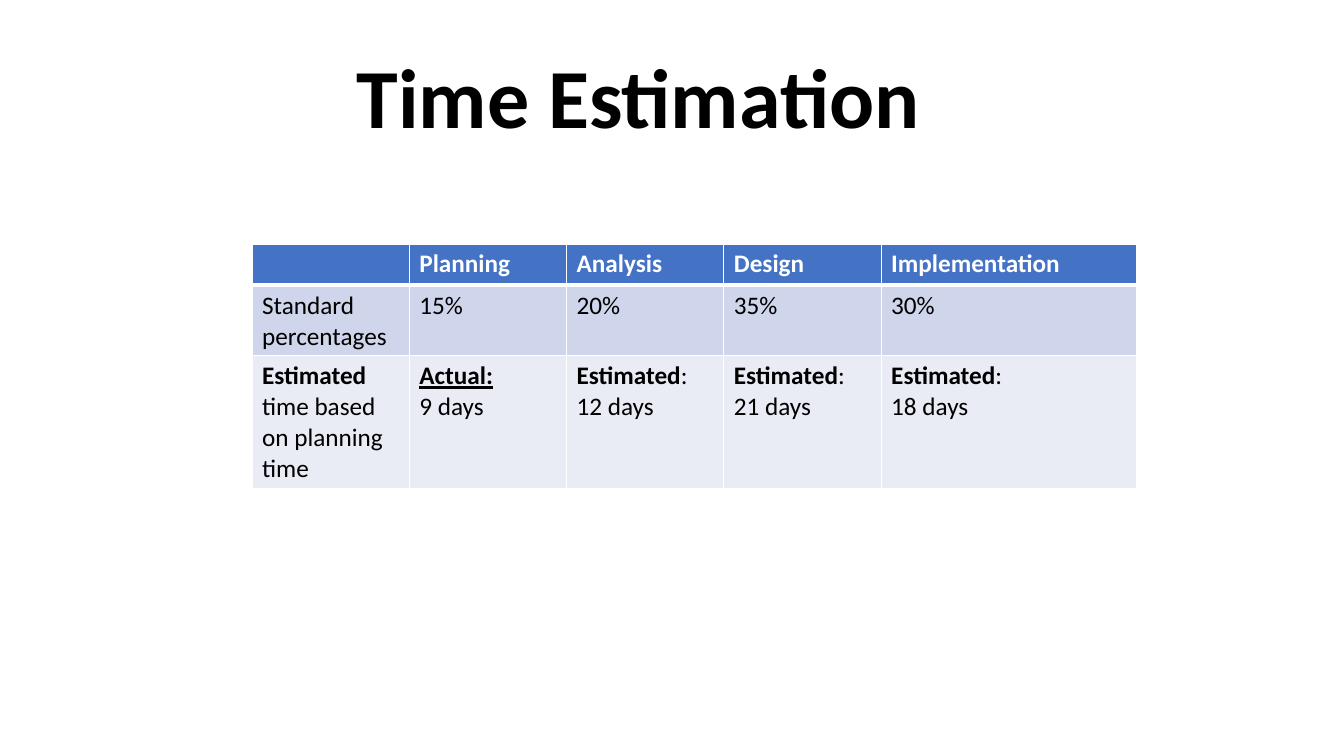
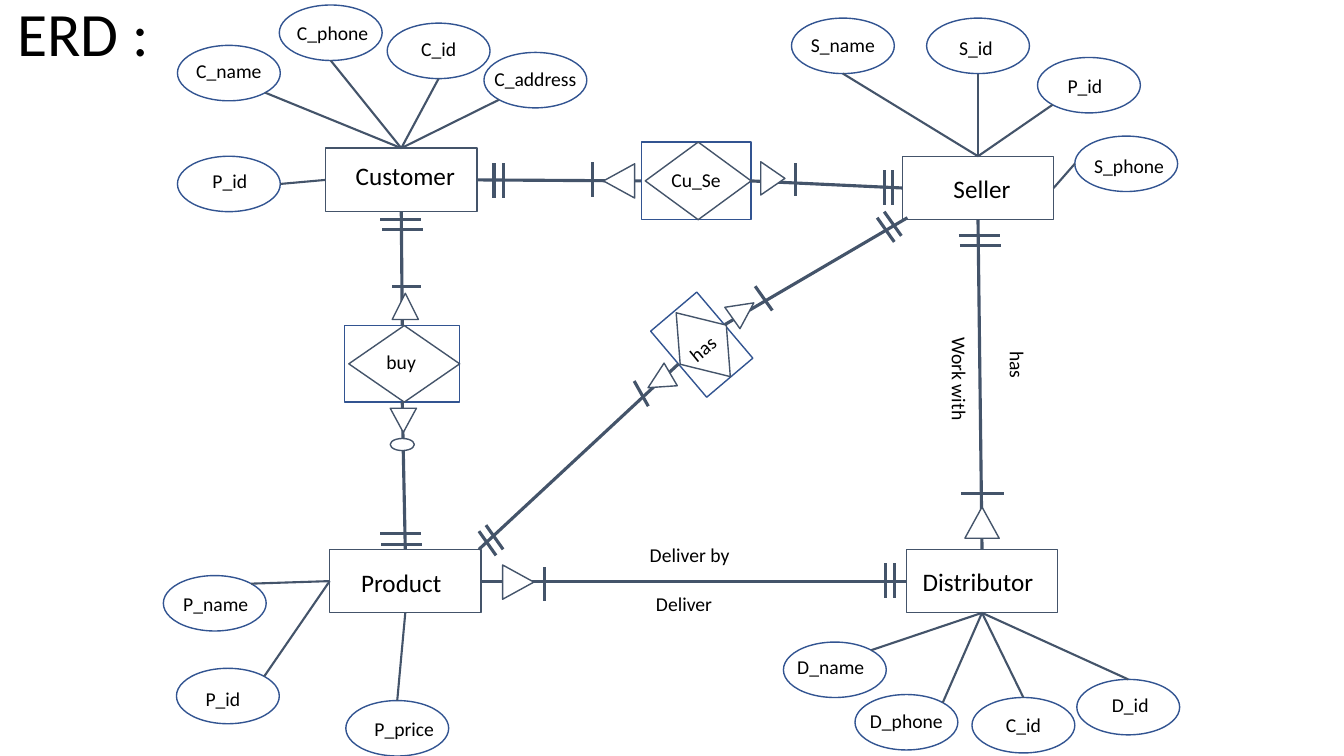
from math import cos, radians, sin

from lxml.etree import SubElement
from pptx import Presentation
from pptx.dml.color import RGBColor
from pptx.enum.shapes import MSO_CONNECTOR, MSO_SHAPE
from pptx.enum.text import MSO_ANCHOR, PP_ALIGN
from pptx.oxml.ns import qn
from pptx.util import Emu, Pt

EMU_PER_PX = 9144
COLORS = {
    "text": "000000",
    "white": "FFFFFF",
    "line": "44546A",
    "outline": "325491",
    "header": "4472C4",
    "band_dark": "CFD5EA",
    "band_light": "E9EBF5",
}
TOP, LEFT, BOTTOM, RIGHT = range(4)
ANGLES = {"e": 0, "se": 45, "s": 90, "sw": 135, "w": 180, "n": 270, "ne": 315}


def px(value):
    return Emu(round(value * EMU_PER_PX))


def color(name):
    return RGBColor.from_string(COLORS[name])


class Deck:
    font = "Calibri"

    def __init__(self, width, height):
        self.prs = Presentation()
        self.prs.slide_width, self.prs.slide_height = px(width), px(height)
        self.slide = None

    def new_slide(self):
        self.slide = self.prs.slides.add_slide(self.prs.slide_layouts[6])

    def style(self, r, size, bold=False, name="text"):
        r.font.name, r.font.size, r.font.bold = self.font, Pt(size), bold
        r.font.color.rgb = color(name)

    def set_text(self, tf, text, size, bold=False):
        tf.text = text
        tf.word_wrap = False
        for p in tf.paragraphs:
            p.alignment = PP_ALIGN.CENTER
            for r in p.runs:
                self.style(r, size, bold)

    def label(self, text, x, y, w, h, size=14, bold=False, rotation=0):
        sp = self.slide.shapes.add_textbox(px(x), px(y), px(w), px(h))
        sp.rotation = rotation
        self.set_text(sp.text_frame, text, size, bold)
        return sp

    def shape(self, kind, x, y, w, h, line="line", rotation=0):
        sp = self.slide.shapes.add_shape(kind, px(x), px(y), px(w), px(h))
        sp.shadow.inherit = False
        sp.fill.solid()
        sp.fill.fore_color.rgb = color("white")
        sp.line.color.rgb = color(line)
        sp.line.width = Pt(1)
        sp.rotation = rotation
        return sp

    def caption(self, sp, text, size, dx=0, dy=0):
        tf = sp.text_frame
        self.set_text(tf, text, size)
        tf.vertical_anchor = MSO_ANCHOR.MIDDLE
        tf.margin_left, tf.margin_right = px(max(2 * dx, 0)), px(max(-2 * dx, 0))
        tf.margin_top, tf.margin_bottom = px(max(2 * dy, 0)), px(max(-2 * dy, 0))

    def entity(self, text, x, y, dx, dy):
        sp = self.shape(MSO_SHAPE.RECTANGLE, x, y, 150, 63)
        self.caption(sp, text, 18, dx, dy)
        return sp

    def attribute(self, entity, side, text, x, y, anchor, dx, dy):
        w, h = 102, 55
        sp = self.shape(MSO_SHAPE.OVAL, x, y, w, h, "outline")
        self.caption(sp, text, 14, dx, dy)
        angle = radians(ANGLES[anchor])
        end_x = x + w / 2 * (1 + cos(angle))
        end_y = y + h / 2 * (1 + sin(angle))
        self.line(0, 0, end_x, end_y, 1.5).begin_connect(entity, side)

    def relationship(self, x, y, w, h, inset, rotation=0):
        box = self.shape(MSO_SHAPE.RECTANGLE, x, y, w, h, "outline", rotation)
        diamond = self.shape(MSO_SHAPE.DIAMOND, x + inset, y, w - inset, h,
                             rotation=rotation)
        return box, diamond

    def line(self, x1, y1, x2, y2, width=2.25):
        cx = self.slide.shapes.add_connector(
            MSO_CONNECTOR.STRAIGHT, px(x1), px(y1), px(x2), px(y2))
        cx.line.color.rgb = color("line")
        cx.line.width = Pt(width)
        SubElement(cx.element.spPr, qn("a:effectLst"))
        return cx

    def link(self, start, start_side, end, end_side):
        cx = self.line(0, 0, 1, 1)
        cx.begin_connect(start, start_side)
        cx.end_connect(end, end_side)

    def double_tick(self, x1, y1, x2, y2, dx, dy):
        self.line(x1, y1, x2, y2)
        self.line(x1 + dx, y1 + dy, x2 + dx, y2 + dy)

    def borders(self, cell, bottom):
        tcPr = cell._tc.get_or_add_tcPr()
        for tag, width in (("lnL", 1), ("lnR", 1), ("lnT", 1), ("lnB", bottom)):
            ln = SubElement(tcPr, qn(f"a:{tag}"), w=str(Pt(width)))
            fill = SubElement(ln, qn("a:solidFill"))
            SubElement(fill, qn("a:srgbClr"), val=COLORS["white"])

    def cell(self, cell, text, fill, header):
        self.borders(cell, 3 if header else 1)
        cell.fill.solid()
        cell.fill.fore_color.rgb = color(fill)
        tf = cell.text_frame
        for i, line in enumerate(text.split("\n")):
            p = tf.add_paragraph() if i else tf.paragraphs[0]
            lead, _, rest = line.rpartition("|")
            for part, bold in ((lead, True), (rest, header)):
                if part:
                    r = p.add_run()
                    r.text = part
                    self.style(r, 18, bold, "white" if header else "text")

    def table(self, x, y, widths, heights, rows, fills):
        table = self.slide.shapes.add_table(
            len(rows), len(widths), px(x), px(y),
            px(sum(widths)), px(sum(heights))).table
        for column, width in zip(table.columns, widths):
            column.width = px(width)
        for i, (row, height) in enumerate(zip(rows, heights)):
            table.rows[i].height = px(height)
            for j, text in enumerate(row):
                self.cell(table.cell(i, j), text, fills[i], i == 0)
        return table


def time_estimation(deck):
    deck.new_slide()
    tf = deck.label("Time Estimation", 208, 17, 850, 133, 60, True).text_frame
    tf.vertical_anchor = MSO_ANCHOR.BOTTOM
    tf.paragraphs[0].line_spacing = 0.9
    rows = [
        ["", "Planning", "Analysis", "Design", "Implementation"],
        ["Standard percentages", "15%", "20%", "35%", "30%"],
        ["Estimated| time based on planning time", "Actual:|\n9 days",
         "Estimated|:\n12 days", "Estimated|:\n21 days", "Estimated|:\n18 days"],
    ]
    table = deck.table(250, 242, [156] * 4 + [253], [41, 70, 132], rows,
                       ["header", "band_dark", "band_light"])
    table.cell(2, 1).text_frame.paragraphs[0].runs[0].font.underline = True


def erd(deck):
    deck.new_slide()
    deck.label("ERD :", 7, -10, 151, 84, 44)

    customer = deck.entity("Customer", 323, 147, 4, -4)
    product = deck.entity("Product", 327, 545, -4, 1)
    distributor = deck.entity("Distributor", 899, 545, -4, 0)
    seller = deck.entity("Seller", 895, 155, 4, 0)

    for attribute in (
        (customer, TOP, "C_name", 176, 45, "se", 0, -2),
        (customer, TOP, "C_phone", 277, 5, "s", 2, 0),
        (customer, TOP, "C_id", 384, 23, "s", 0, -2),
        (customer, TOP, "C_address", 480, 52, "sw", 0, -1),
        (customer, LEFT, "P_id", 176, 155, "e", 1, -3),
        (seller, TOP, "S_name", 785, 18, "s", 0, -1),
        (seller, TOP, "S_id", 919, 18, "s", -2, 2),
        (seller, TOP, "P_id", 1029, 57, "sw", -4, 0),
        (seller, RIGHT, "S_phone", 1066, 135, "w", 3, 2),
        (product, LEFT, "P_name", 162, 571, "ne", 1, 0),
        (product, LEFT, "P_id", 175, 663, "ne", -5, 3),
        (product, BOTTOM, "P_price", 343, 695, "n", 7, 0),
        (distributor, BOTTOM, "D_name", 777, 637, "ne", -4, -3),
        (distributor, BOTTOM, "D_phone", 848, 689, "ne", 0, -2),
        (distributor, BOTTOM, "C_id", 964, 692, "n", 0, -1),
        (distributor, BOTTOM, "D_id", 1068, 674, "n", 2, -2),
    ):
        deck.attribute(*attribute)

    buy_box, buy = deck.relationship(342, 323, 114, 76, 4)
    deck.caption(buy, "buy", 14, -3, -2)
    cu_se_box, cu_se = deck.relationship(636, 141, 109, 77, 4)
    deck.caption(cu_se, "Cu_Se", 14, -2, -1)
    deck.relationship(653, 312, 86, 60, 3, 49.7)

    for ends in (
        (customer, RIGHT, cu_se_box, LEFT),
        (cu_se, RIGHT, seller, LEFT),
        (customer, BOTTOM, buy_box, TOP),
        (buy_box, BOTTOM, product, TOP),
        (product, RIGHT, distributor, LEFT),
        (distributor, TOP, seller, BOTTOM),
    ):
        deck.link(*ends)
    deck.line(475, 545, 673, 361)
    deck.line(719, 322, 900, 216)

    for x, y, w, h, rotation in (
        (497, 562, 34, 31, 90),
        (957, 503, 34, 31, 0),
        (387, 405, 26, 24, 180),
        (389, 291, 26, 26, 0),
        (641, 365, 26, 26, 239.6),
        (724, 295, 26, 26, 54.8),
        (750, 165, 33, 24, 90),
        (597, 164, 34, 31, 270),
    ):
        deck.shape(MSO_SHAPE.ISOSCELES_TRIANGLE, x, y, w, h, rotation=rotation)
    deck.shape(MSO_SHAPE.OVAL, 387, 435, 24, 12)

    for tick in (
        (540, 563, 540, 596),
        (953, 490, 996, 490),
        (643, 403, 629, 378),
        (749, 284, 766, 308),
        (389, 284, 418, 284),
        (789, 162, 789, 194),
        (588, 161, 588, 195),
    ):
        deck.line(*tick)
    for tick in (
        (482, 521, 499, 545, -7, 6),
        (877, 210, 894, 234, -7, 6),
        (951, 234, 992, 234, 1, 10),
        (377, 218, 418, 218, 2, 10),
        (377, 529, 418, 529, 1, 11),
        (887, 559, 887, 593, -9, 0),
        (885, 169, 885, 203, -8, 0),
        (499, 162, 499, 196, -9, 0),
    ):
        deck.double_tick(*tick)

    deck.label("Deliver by", 634, 534, 100, 34)
    deck.label("Deliver", 640, 582, 77, 34)
    deck.label("has", 672, 329, 50, 34, rotation=320.7)
    deck.label("has", 984, 345, 50, 34, rotation=90)
    deck.label("Work with", 886, 359, 131, 34, rotation=90)


def main():
    deck = Deck(1333, 750)
    time_estimation(deck)
    erd(deck)
    deck.prs.save("out.pptx")


if __name__ == "__main__":
    main()
